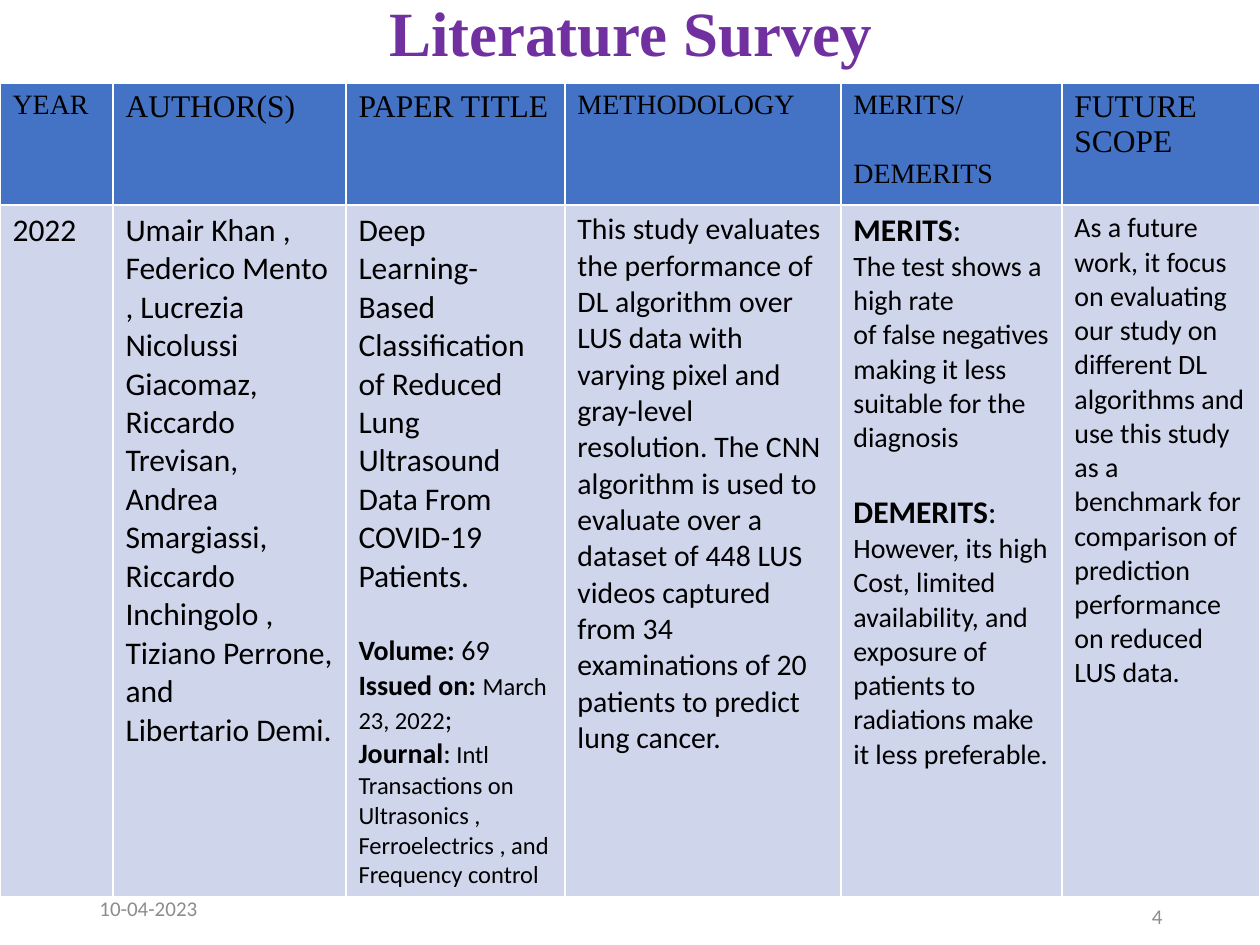
from lxml import etree
from pptx import Presentation, util as u
from pptx.dml.color import RGBColor
from pptx.enum import text
from pptx.oxml.ns import qn

PX = 914400 / 126
COLORS = {"title": "7030A0", "header": "4472C4", "body": "CFD5EA",
          "ink": "000000", "muted": "8C8C8C", "rule": "FFFFFF"}
SERIF, SANS = "Times New Roman", "Calibri"
SECTION_GAP = 22  # points above a new section in a cell

COLUMNS = [113, 233, 219, 276, 221, 198]
ROWS = [122, 692]

# Each cell is a list of paragraphs; each paragraph a list of (words, size, bold)
HEADINGS = [
    [[("YEAR", 16, False)]],
    [[("AUTHOR(S)", 18, False)]],
    [[("PAPER TITLE", 18, False)]],
    [[("METHODOLOGY", 16, False)]],
    [[("MERITS/", 16, False)], [("DEMERITS", 16, False)]],
    [[("FUTURE SCOPE", 18, False)]],
]
SURVEY = [
    [[("2022", 18, False)]],
    [[(line, 18, False)] for line in (
        "Umair Khan , Federico Mento , Lucrezia Nicolussi Giacomaz, "
        "Riccardo Trevisan, Andrea",
        "Smargiassi,",
        "Riccardo Inchingolo , Tiziano Perrone, and",
        "Libertario Demi.")],
    [[("Deep Learning-Based Classification of Reduced", 18, False)],
     [("Lung Ultrasound Data From COVID-19 Patients.", 18, False)],
     [("Volume: ", 16, True), ("69", 16, False)],
     [("Issued on: ", 16, True), ("March 23, 2022", 14, False), (";", 16, False)],
     [("Journal", 16, True), (":", 16, False),
      (" Intl Transactions on Ultrasonics , Ferroelectrics , and "
       "Frequency control", 14, False)]],
    [[("This study evaluates the performance of DL algorithm over", 17, False)],
     [("LUS data with varying pixel and gray-level resolution. The CNN algorithm "
       "is used to evaluate over a dataset of 448 LUS videos captured from 34 "
       "examinations of 20 patients to predict lung cancer.", 17, False)]],
    [[("MERITS", 18, True), (":", 18, False)],
     [("The test shows a high rate", 16, False)],
     [("of false negatives making it less suitable for the diagnosis", 16, False)],
     [("DEMERITS", 18, True), (":", 18, False)],
     [("However, its high Cost, limited availability, and exposure of patients "
       "to radiations make it less preferable.", 16, False)]],
    [[("As a future work, it focus on evaluating our study on different DL "
       "algorithms and use this study as a benchmark for comparison of prediction "
       "performance on reduced LUS data.", 16, False)]],
]
SECTION_STARTS = {"Volume: ", "DEMERITS"}


def px(*lengths):
    return [u.Emu(round(length * PX)) for length in lengths]


def rgb(name):
    return RGBColor.from_string(COLORS[name])


def add_run(paragraph, words, size, bold, font, color):
    run = paragraph.add_run()
    run.text = words
    for name, value in {"size": u.Pt(size), "bold": bold, "name": font}.items():
        setattr(run.font, name, value)
    run.font.color.rgb = rgb(color)


def add_line(slide, box, words, size, font, color, align, bold=False, spacing=1.0):
    """One line of text, centred vertically in its box."""
    frame = slide.shapes.add_textbox(*px(*box)).text_frame
    frame.word_wrap = True
    frame.vertical_anchor = text.MSO_ANCHOR.MIDDLE
    paragraph = frame.paragraphs[0]
    paragraph.alignment = align
    paragraph.line_spacing = spacing
    add_run(paragraph, words, size, bold, font, color)


def rule_cell(cell):
    properties = cell._tc.get_or_add_tcPr()
    for side in ("lnL", "lnR", "lnT", "lnB"):
        line = etree.SubElement(properties, qn(f"a:{side}"), w=str(u.Pt(1)))
        fill = etree.SubElement(line, qn("a:solidFill"))
        etree.SubElement(fill, qn("a:srgbClr"), val=COLORS["rule"])


def fill_cell(cell, paragraphs, font, fill):
    rule_cell(cell)
    cell.fill.solid()
    cell.fill.fore_color.rgb = rgb(fill)
    frame = cell.text_frame
    for index, runs in enumerate(paragraphs):
        paragraph = frame.add_paragraph() if index else frame.paragraphs[0]
        if runs[0][0] in SECTION_STARTS:
            paragraph.space_before = u.Pt(SECTION_GAP)
        for words, size, bold in runs:
            add_run(paragraph, words, size, bold, font, "ink")


def add_survey(slide, left, top):
    survey = slide.shapes.add_table(
        len(ROWS), len(COLUMNS), *px(left, top, sum(COLUMNS), sum(ROWS))).table
    survey.first_row = survey.horz_banding = False
    for column, width in zip(survey.columns, px(*COLUMNS)):
        column.width = width
    for row, height in zip(survey.rows, px(*ROWS)):
        row.height = height
    for index, (heading, finding) in enumerate(zip(HEADINGS, SURVEY)):
        fill_cell(survey.cell(0, index), heading, SERIF, "header")
        fill_cell(survey.cell(1, index), finding, SANS, "body")


def add_footer(slide, left, top, width):
    box_width, box_height = 284, 50
    add_line(slide, (left, top, box_width, box_height), "10-04-2023",
             12, SANS, "muted", text.PP_ALIGN.LEFT)
    add_line(slide, (left + width - box_width, top + 8, box_width, box_height), "4",
             12, SANS, "muted", text.PP_ALIGN.RIGHT)


def main():
    deck = Presentation()
    deck.slide_width, deck.slide_height = px(1260, 945)
    slide = deck.slides.add_slide(deck.slide_layouts[6])

    # Title
    add_line(slide, (88, 0, 1086, 73), "Literature Survey", 36, SERIF, "title",
             text.PP_ALIGN.CENTER, bold=True, spacing=0.9)
    # Date and page number
    add_footer(slide, 87, 883, 1088)
    # Survey table
    add_survey(slide, 0, 83)

    deck.save("out.pptx")


if __name__ == "__main__":
    main()
